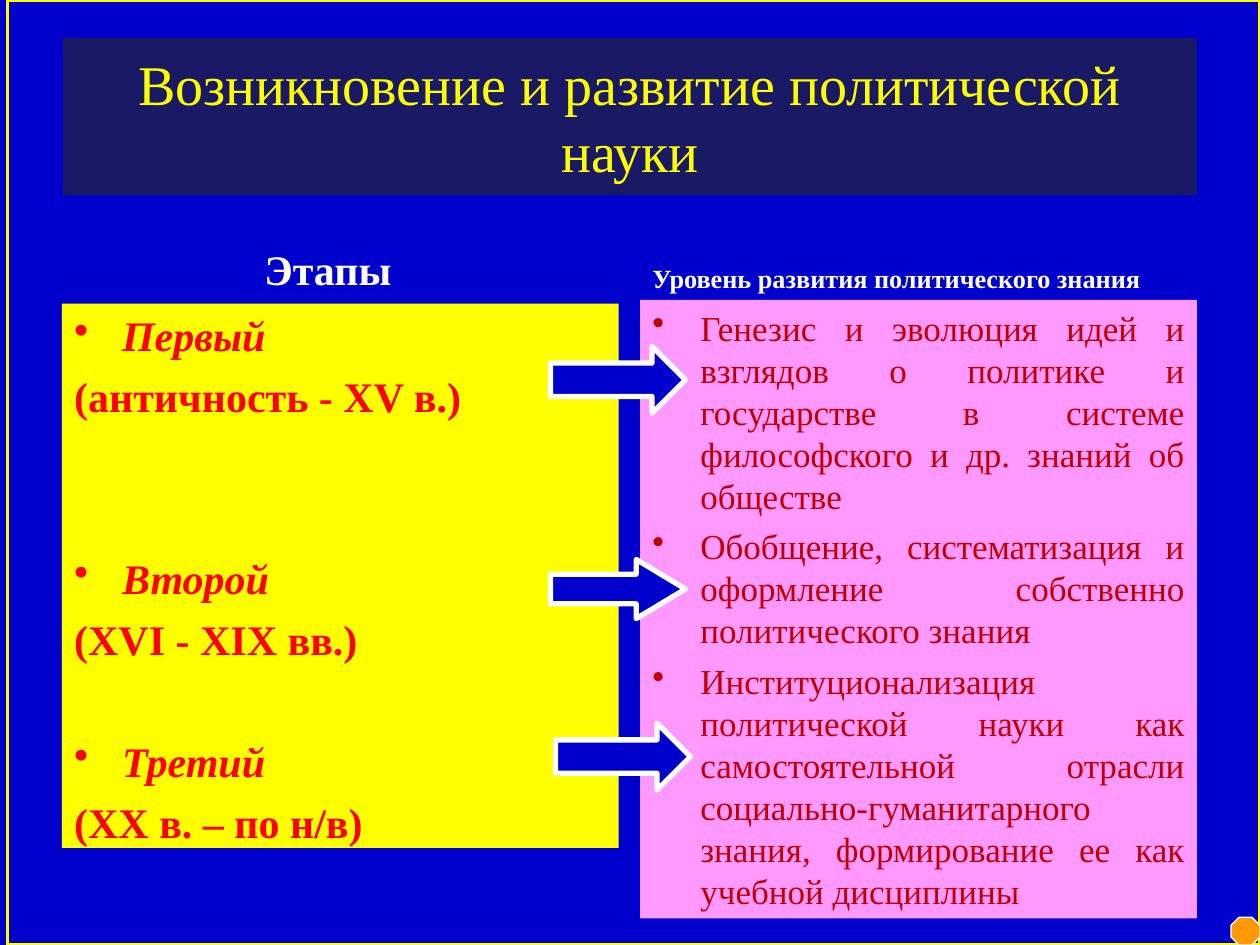
from lxml import etree
from pptx import Presentation
from pptx.dml.color import RGBColor
from pptx.enum.shapes import MSO_SHAPE
from pptx.enum.text import MSO_ANCHOR, PP_ALIGN
from pptx.oxml.ns import qn
from pptx.util import Inches, Pt

RECT, OCTAGON, ARROW = MSO_SHAPE.RECTANGLE, MSO_SHAPE.OCTAGON, MSO_SHAPE.RIGHT_ARROW
TOP, MIDDLE, BOTTOM = MSO_ANCHOR.TOP, MSO_ANCHOR.MIDDLE, MSO_ANCHOR.BOTTOM
LEFT, CENTER, JUSTIFY = PP_ALIGN.LEFT, PP_ALIGN.CENTER, PP_ALIGN.JUSTIFY

HUES = {
    "blue": "0000CC", "navy": "191966", "yellow": "FFFF00", "orange": "FF9900",
    "pink": "FF99FF", "red": "FF0000", "dark": "C00000", "white": "FFFFFF",
}
FONT = "Times New Roman"
HANG = Inches(0.38)

deck = Presentation()
deck.slide_width, deck.slide_height = Inches(10), Inches(7.5)
slide = deck.slides.add_slide(deck.slide_layouts[6])


def hue(name):
    return RGBColor.from_string(HUES[name])


def add_part(kind, box, fill=None, line=None, width=1, adj=()):
    part = slide.shapes.add_shape(kind, *[Inches(n) for n in box])
    part.shadow.inherit = False
    if fill:
        part.fill.solid()
        part.fill.fore_color.rgb = hue(fill)
    else:
        part.fill.background()
    if line:
        part.line.color.rgb = hue(line)
        part.line.width = Pt(width)
    else:
        part.line.fill.background()
    for i, value in enumerate(adj):
        part.adjustments[i] = value
    return part


def add_text(part, text, size=24, color="white", bold=False, italic=False,
             align=LEFT, anchor=TOP, before=0, indent=0, bullet=False):
    frame = part.text_frame
    frame.word_wrap = True
    frame.vertical_anchor = anchor
    para = frame.paragraphs[0]
    if para.runs:
        para = frame.add_paragraph()
        para.space_before = Pt(before)
    para.alignment = align
    props = para._p.get_or_add_pPr()
    if bullet:
        props.set("marL", str(HANG))
        props.set("indent", str(-HANG))
        tint = etree.SubElement(props, qn("a:buClr"))
        etree.SubElement(tint, qn("a:srgbClr"), val=HUES[color])
        etree.SubElement(props, qn("a:buChar"), char="•")
    elif indent:
        props.set("marL", str(Inches(indent)))
    run = para.add_run()
    run.text = text
    font = run.font
    font.name, font.size = FONT, Pt(size)
    font.bold, font.italic = bold, italic
    font.color.rgb = hue(color)


# Background, frame and corner mark
slide.background.fill.solid()
slide.background.fill.fore_color.rgb = hue("blue")
add_part(RECT, (0.06, 0, 9.94, 7.5), line="yellow", width=2.25)
add_part(OCTAGON, (9.77, 7.28, 0.23, 0.22), "orange", "white", 0.75, [0.29])

# Title
title = add_part(RECT, (0.5, 0.3, 9, 1.25), "navy")
add_text(title, "Возникновение и развитие политической науки", size=32,
         color="yellow", align=CENTER, anchor=MIDDLE)

# Column headings
heads = [
    (0.5, "Этапы", 24, 1.5),
    (5.08, "Уровень развития политического знания", 15, 0),
]
for left, text, size, indent in heads:
    head = slide.shapes.add_textbox(Inches(left), Inches(1.68), Inches(4.42), Inches(0.7))
    add_text(head, text, size=size, bold=True, anchor=BOTTOM, indent=indent)

# Stages: name, period, space above
stages = [
    ("Первый", "(античность - XV в.)", 0),
    ("Второй", "(XVI - XIX вв.)", 75),
    ("Третий", "(XX в. – по н/в)", 41),
]
panel = add_part(RECT, (0.49, 2.41, 4.42, 4.32), "yellow")
for name, period, gap in stages:
    add_text(panel, name, color="red", bold=True, italic=True, before=gap, bullet=True)
    add_text(panel, period, color="red", bold=True, before=6)

# Levels of knowledge
levels = [
    "Генезис и эволюция идей и взглядов о политике и государстве в системе "
    "философского и др. знаний об обществе",
    "Обобщение, систематизация и оформление собственно политического знания",
    "Институционализация политической науки как самостоятельной отрасли "
    "социально-гуманитарного знания, формирование ее как учебной дисциплины",
]
panel = add_part(RECT, (5.08, 2.38, 4.42, 4.91), "pink")
for level in levels:
    add_text(panel, level, size=20, color="dark", align=JUSTIFY, before=5, bullet=True)

# Arrows from stage to level
arrows = [(4.37, 2.75, 0.53, 0.5), (4.37, 4.44, 0.47, 0.83), (4.41, 5.74, 0.53, 0.5)]
for left, top, height, point in arrows:
    add_part(ARROW, (left, top, 1.07, height), "blue", "white", 3, [0.5, point])

deck.save("out.pptx")
